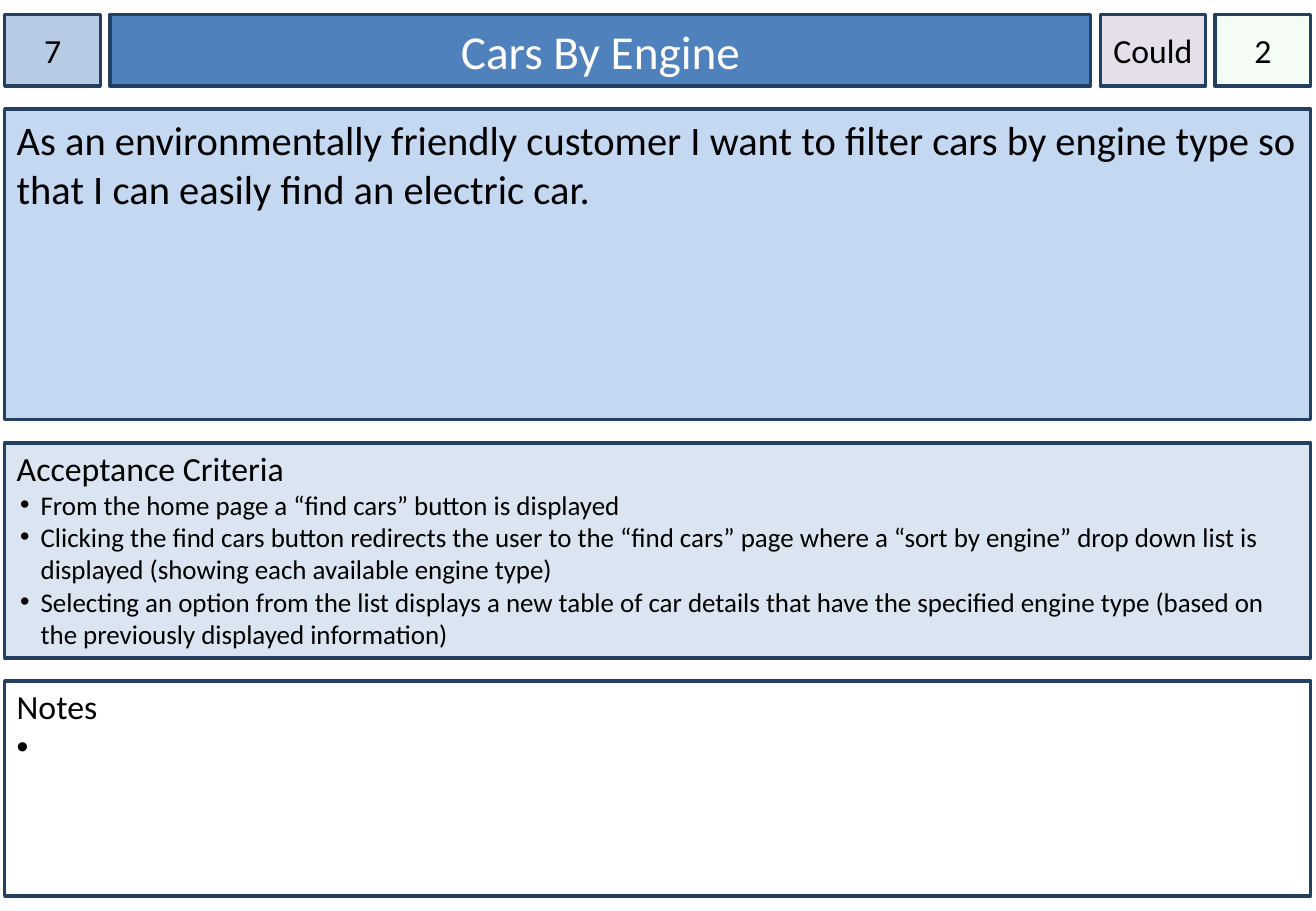
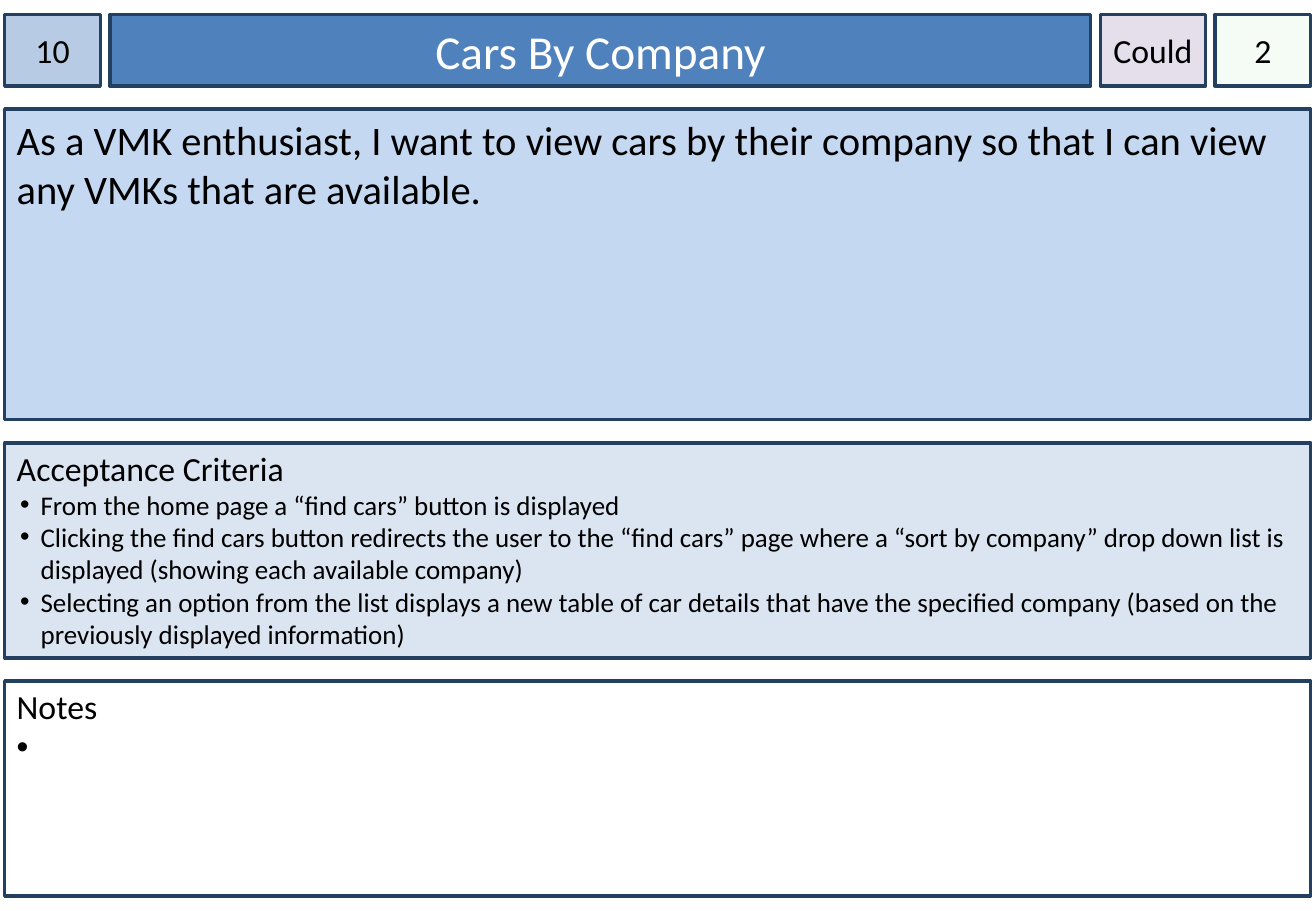
import pptx
import pptx.util
import pptx.dml.color
import pptx.enum.shapes
import pptx.enum.text
import pptx.oxml
import pptx.oxml.ns
import lxml.etree

Cm = pptx.util.Cm
Pt = pptx.util.Pt
ALIGN = pptx.enum.text.PP_ALIGN
ANCHOR = pptx.enum.text.MSO_ANCHOR

STORIES = [
    {
        "number": "7",
        "title": "Cars By Engine",
        "priority": "Could",
        "estimate": "2",
        "story": "As an environmentally friendly customer I want to filter cars by engine type "
                 "so that I can easily find an electric car.",
        "criteria": [
            "From the home page a “find cars” button is displayed",
            "Clicking the find cars button redirects the user to the “find cars” page where a "
            "“sort by engine” drop down list is displayed (showing each available engine type)",
            "Selecting an option from the list displays a new table of car details that have the "
            "specified engine type (based on the previously displayed information)",
        ],
        "notes": [" "],
    },
    {
        "number": "10",
        "title": "Cars By Company",
        "priority": "Could",
        "estimate": "2",
        "story": "As a VMK enthusiast, I want to view cars by their company "
                 "so that I can view any VMKs that are available.",
        "criteria": [
            "From the home page a “find cars” button is displayed",
            "Clicking the find cars button redirects the user to the “find cars” page where a "
            "“sort by company” drop down list is displayed (showing each available company)",
            "Selecting an option from the list displays a new table of car details that have the "
            "specified company (based on the previously displayed information)",
        ],
        "notes": [" "],
    },
]

COLORS = {
    "number": "B7CCE4",
    "title": "4F81BD",
    "priority": "E5DFEC",
    "estimate": "CCF0CD",
    "story": "C5D8F1",
    "criteria": "DAE5F1",
    "notes": "FFFFFF",
    "border": "244061",
    "text": "000000",
    "title_text": "FFFFFF",
}
FONT = "Calibri"
MARGIN, TOP = 0.1, 0.3
HEADER_HEIGHT, HEADER_GAP, PANEL_GAP = 1.5, 0.2, 0.48
HEADER_WIDTHS = {"number": 2, "title": 20.5, "priority": 2.2, "estimate": 2}
PANEL_HEIGHTS = {"story": 6.5, "criteria": 4.5, "notes": 4.5}


def rgb(name):
    return pptx.dml.color.RGBColor.from_string(COLORS[name])


def card_boxes():
    boxes = {}
    left = MARGIN
    for name, width in HEADER_WIDTHS.items():
        boxes[name] = (left, TOP, width, HEADER_HEIGHT)
        left += width + HEADER_GAP
    panel_width = left - HEADER_GAP - MARGIN
    top = TOP + HEADER_HEIGHT + PANEL_GAP
    for name, height in PANEL_HEIGHTS.items():
        boxes[name] = (MARGIN, top, panel_width, height)
        top += height + PANEL_GAP
    return boxes


def set_bullet(paragraph, hanging):
    properties = paragraph._p.get_or_add_pPr()
    properties.set("marL", str(Cm(0.5) if hanging else 0))
    properties.set("indent", str(-Cm(hanging)))
    qn = pptx.oxml.ns.qn
    if hanging:
        color = lxml.etree.SubElement(properties, qn("a:buClr"))
        lxml.etree.SubElement(color, qn("a:srgbClr")).set("val", COLORS["text"])
        lxml.etree.SubElement(properties, qn("a:buFont")).set("typeface", "Arial")
        lxml.etree.SubElement(properties, qn("a:buChar")).set("char", "•")
    else:
        lxml.etree.SubElement(properties, qn("a:buNone"))


def write_text(frame, text, size=20, color="text", align=ALIGN.LEFT, hanging=0):
    paragraph = frame.paragraphs[0] if not frame.text else frame.add_paragraph()
    set_bullet(paragraph, hanging)
    paragraph.alignment = align
    paragraph.space_before = Pt(0)
    run = paragraph.add_run()
    run.text = text
    run.font.name = FONT
    run.font.size = Pt(size)
    run.font.color.rgb = rgb(color)


def style_box(shape, name, box):
    shape.left, shape.top, shape.width, shape.height = (Cm(length) for length in box)
    shape.fill.solid()
    shape.fill.fore_color.rgb = rgb(name)
    shape.line.color.rgb = rgb("border")
    shape.line.width = Pt(2)
    frame = shape.text_frame
    frame.word_wrap = True
    frame.auto_size = pptx.enum.text.MSO_AUTO_SIZE.NONE
    header = name in HEADER_WIDTHS
    frame.vertical_anchor = ANCHOR.MIDDLE if header else ANCHOR.TOP
    side = 0 if header and name != "title" else 0.25
    frame.margin_left = frame.margin_right = Cm(side)
    frame.margin_top = Cm(0.1 if name in ("criteria", "notes") else 0.13)
    frame.margin_bottom = Cm(0.13)
    return frame


def make_translucent(shape, percent):
    color = shape.fill._xPr.find(".//" + pptx.oxml.ns.qn("a:srgbClr"))
    alpha = lxml.etree.SubElement(color, pptx.oxml.ns.qn("a:alpha"))
    alpha.set("val", str(percent * 1000))


def add_card(presentation, story, boxes):
    slide = presentation.slides.add_slide(presentation.slide_layouts[1])
    shapes = {"title": slide.shapes.title, "criteria": slide.placeholders[1]}
    frames = {}
    for name, box in boxes.items():
        if name not in shapes:
            shapes[name] = slide.shapes.add_shape(
                pptx.enum.shapes.MSO_SHAPE.RECTANGLE, 0, 0, 0, 0)
            shapes[name].shadow.inherit = False
        frames[name] = style_box(shapes[name], name, box)
    make_translucent(shapes["estimate"], 20)

    for name in ("number", "priority", "estimate"):
        write_text(frames[name], story[name], align=ALIGN.CENTER)
    write_text(frames["title"], story["title"], size=28, color="title_text", align=ALIGN.CENTER)
    write_text(frames["story"], story["story"], size=24)
    for name, heading, size, hanging in (
        ("criteria", "Acceptance Criteria", 16, 0.43),
        ("notes", "Notes", 20, 0.5),
    ):
        write_text(frames[name], heading)
        for item in story[name]:
            write_text(frames[name], item, size=size, hanging=hanging)


def main():
    presentation = pptx.Presentation()
    presentation.slide_width = Cm(27.51)
    presentation.slide_height = Cm(19.05)
    boxes = card_boxes()
    for story in STORIES:
        add_card(presentation, story, boxes)
    presentation.save("out.pptx")


if __name__ == "__main__":
    main()
